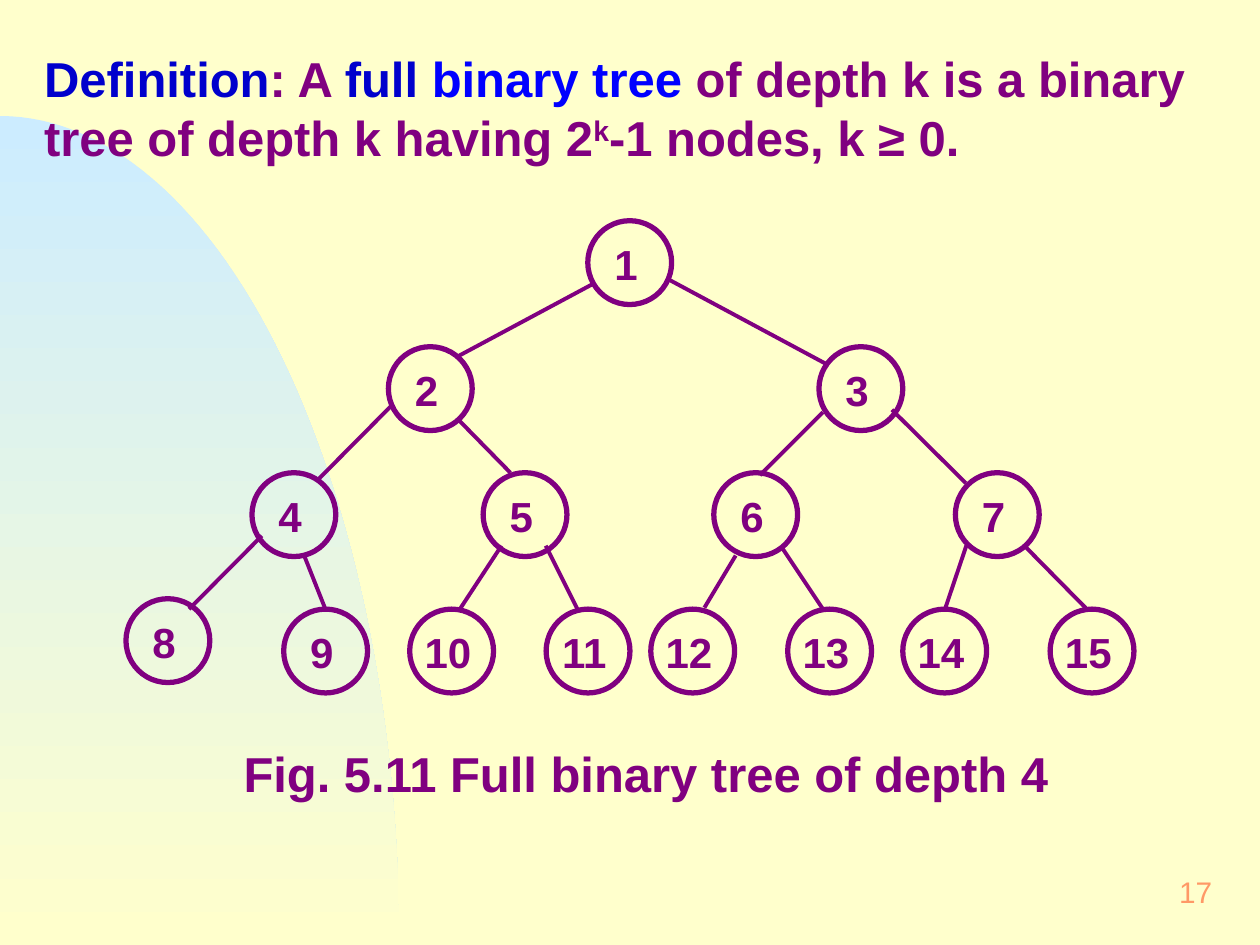
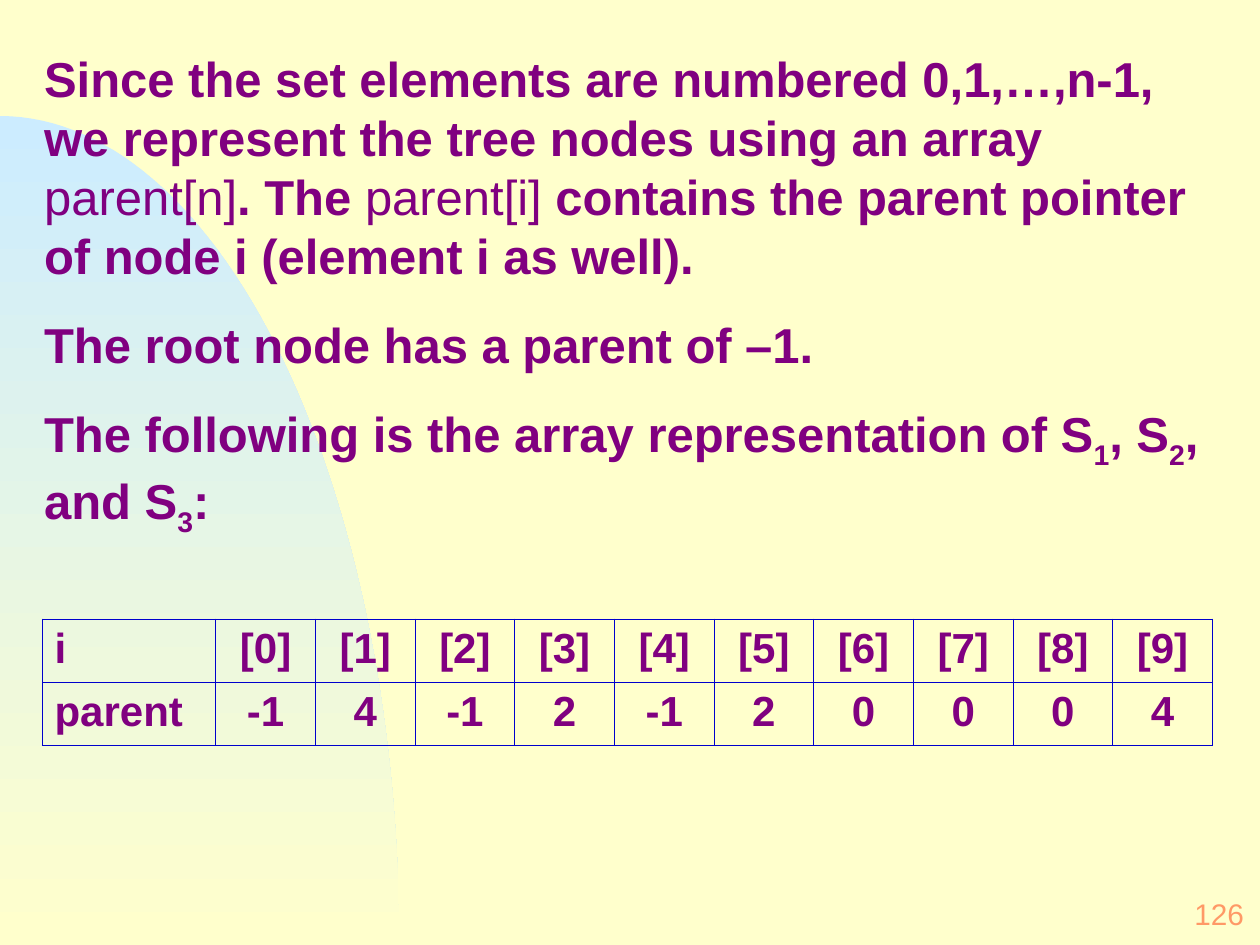
import math

import pptx
import pptx.dml.color
import pptx.enum.shapes
import pptx.enum.text
import pptx.oxml
import pptx.oxml.ns
import pptx.util
from pptx.util import Cm, Pt

FONT = "Arial"
CREAM = "FFFFCC"
SKY = "CCECFF"
PURPLE = "800080"
NAVY = "0000CC"
BLUE = "0000FF"
ORANGE = "FF9966"

NODE_SIZE = 1.69
ROW_TOPS = [4.45, 6.99, 9.53, 12.28]
NODE_LEFTS = [
    [11.85],
    [7.83, 16.51],
    [5.08, 9.74, 14.39, 19.26],
    [2.54, 5.72, 8.26, 11.01, 13.12, 15.88, 18.2, 21.17],
]
RAISED_NODES = {8: 0.21}

# Branch ends (x1, y1, x2, y2), listed by child node from 2 to 15.
BRANCHES = [
    (11.96, 5.72, 9.2, 7.2),
    (13.49, 5.64, 16.66, 7.34),
    (7.87, 8.2, 6.4, 9.68),
    (9.25, 8.47, 10.29, 9.53),
    (16.59, 8.31, 15.32, 9.58),
    (17.98, 8.26, 19.47, 9.74),
    (5.28, 10.8, 3.81, 12.28),
    (6.14, 11.22, 6.56, 12.28),
    (10.11, 11, 9.27, 12.28),
    (11, 11, 11.64, 12.28),
    (14.83, 11.2, 14.2, 12.25),
    (15.75, 11.02, 16.59, 12.28),
    (19.48, 11, 19.05, 12.28),
    (20.65, 11, 21.91, 12.28),
]

DEFINITION = [[
    ("Definition", {"color": NAVY}),
    (": A ", {}),
    ("full ", {"color": NAVY}),
    ("binary tree ", {"color": BLUE}),
    ("of depth k is a binary tree of depth k having 2", {}),
    ("k", {"baseline": 30}),
    ("-1 nodes, k ≥ 0.", {}),
]]
CAPTION = [[("Fig. 5.11 Full binary tree of depth 4", {})]]
ARRAY_NOTES = [
    [
        ("Since the set elements are numbered 0,1,…,n-1, we represent "
         "the tree nodes using an array ", {}),
        ("parent[n]", {"bold": False}),
        (". The ", {}),
        ("parent[i]", {"bold": False}),
        (" contains the parent pointer of node i (element i as well).", {}),
    ],
    [("The root node has a parent of –1.", {})],
    [
        ("The following is the array representation of S", {}),
        ("1", {"baseline": -25}),
        (", S", {}),
        ("2", {"baseline": -25}),
        (", and S", {}),
        ("3", {"baseline": -25}),
        (":", {}),
    ],
]
PARENTS = [-1, 4, -1, 2, -1, 2, 0, 0, 0, 4]


def rgb(code):
    return pptx.dml.color.RGBColor.from_string(code)


def style_span(span, size, color=PURPLE, bold=True, baseline=0):
    """Format a run; baseline is a percentage, positive for superscript."""
    span.font.name = FONT
    span.font.size = Pt(size)
    span.font.bold = bold
    span.font.color.rgb = rgb(color)
    if baseline:
        span.font._element.set("baseline", str(baseline * 1000))


def set_insets(frame, left, top, right, bottom):
    frame.margin_left, frame.margin_top = Cm(left), Cm(top)
    frame.margin_right, frame.margin_bottom = Cm(right), Cm(bottom)


def add_page(deck):
    """Add a blank page with the cream ground and the fading quarter ellipse."""
    page = deck.slides.add_slide(deck.slide_layouts[6])
    page.background.fill.solid()
    page.background.fill.fore_color.rgb = rgb(CREAM)

    width, height, bottom, steps = 8.05, 16.71, 19.05, 60
    angles = [math.pi / 2 * step / steps for step in range(steps + 1)]
    arc = [(Cm(width * math.sin(a)), Cm(bottom - height * math.cos(a)))
           for a in angles]
    builder = page.shapes.build_freeform(*arc[0])
    builder.add_line_segments(arc[1:] + [(0, Cm(bottom))], close=True)
    dome = builder.convert_to_shape()
    dome.shadow.inherit = False
    dome.line.fill.background()
    dome.fill.gradient()
    dome.fill.gradient_angle = 270
    for stop, color, position in zip(dome.fill.gradient_stops, (SKY, CREAM), (0, 1)):
        stop.color.rgb = rgb(color)
        stop.position = position
    return page


def add_text(page, left, top, width, height, paragraphs):
    """Add 28 pt text; each paragraph is a list of (text, style) pairs."""
    box = page.shapes.add_textbox(Cm(left), Cm(top), Cm(width), Cm(height))
    frame = box.text_frame
    frame.word_wrap = True
    set_insets(frame, 0.25, 0.13, 0.25, 0.13)
    for index, pieces in enumerate(paragraphs):
        para = frame.add_paragraph() if index else frame.paragraphs[0]
        if index:
            para.space_before = Pt(17.5)
        for text, style in pieces:
            span = para.add_run()
            span.text = text
            style_span(span, 28, **style)


def add_page_number(page, left, top, number):
    box = page.shapes.add_textbox(Cm(left), Cm(top), Cm(5.27), Cm(1.26))
    frame = box.text_frame
    frame.word_wrap = True
    frame.vertical_anchor = pptx.enum.text.MSO_ANCHOR.MIDDLE
    set_insets(frame, 0.32, 0.16, 0.31, 0.16)
    frame.text = str(number)
    para = frame.paragraphs[0]
    para.alignment = pptx.enum.text.PP_ALIGN.RIGHT
    style_span(para.runs[0], 17, color=ORANGE, bold=False)


def add_node(page, left, top, number):
    node = page.shapes.add_shape(
        pptx.enum.shapes.MSO_SHAPE.OVAL,
        Cm(left), Cm(top), Cm(NODE_SIZE), Cm(NODE_SIZE))
    node.shadow.inherit = False
    node.fill.background()
    node.line.color.rgb = rgb(PURPLE)
    node.line.width = Pt(3)
    frame = node.text_frame
    frame.word_wrap = False
    frame.vertical_anchor = pptx.enum.text.MSO_ANCHOR.MIDDLE
    set_insets(frame, 0, 0.04, 0.15, 0)
    frame.text = str(number)
    para = frame.paragraphs[0]
    para.alignment = pptx.enum.text.PP_ALIGN.CENTER
    style_span(para.runs[0], 24)


def add_branch(page, x1, y1, x2, y2):
    branch = page.shapes.add_connector(
        pptx.enum.shapes.MSO_CONNECTOR.STRAIGHT, Cm(x1), Cm(y1), Cm(x2), Cm(y2))
    branch.line.color.rgb = rgb(PURPLE)
    branch.line.width = Pt(2.25)
    branch.element.spPr.append(pptx.oxml.parse_xml(
        f"<a:effectLst {pptx.oxml.ns.nsdecls('a')}/>"))


def add_tree(page):
    number = 1
    for top, lefts in zip(ROW_TOPS, NODE_LEFTS):
        for left in lefts:
            add_node(page, left, top - RAISED_NODES.get(number, 0), number)
            number += 1
    for ends in BRANCHES:
        add_branch(page, *ends)


def set_borders(cell):
    properties = cell._tc.get_or_add_tcPr()
    for index, side in enumerate(("lnL", "lnR", "lnT", "lnB")):
        properties.insert(index, pptx.oxml.parse_xml(
            f"<a:{side} {pptx.oxml.ns.nsdecls('a')} w='{Pt(0.45)}'>"
            f"<a:solidFill><a:srgbClr val='{NAVY}'/></a:solidFill></a:{side}>"))


def add_parent_table(page):
    rows = [["i"] + [f"[{index}]" for index in range(len(PARENTS))],
            ["parent"] + PARENTS]
    widths = [3.5] + [2.01] * len(PARENTS)
    table = page.shapes.add_table(
        len(rows), len(widths), Cm(0.85), Cm(12.48), Cm(sum(widths)), Cm(2.54)).table
    table.first_row = False
    table.horz_banding = False
    for column, width in zip(table.columns, widths):
        column.width = Cm(width)
    for row_index, values in enumerate(rows):
        for column_index, value in enumerate(values):
            cell = table.cell(row_index, column_index)
            cell.fill.background()
            set_borders(cell)
            set_insets(cell, 0.25, 0.13, 0.25, 0.13)
            cell.text_frame.text = str(value)
            para = cell.text_frame.paragraphs[0]
            if column_index:
                para.alignment = pptx.enum.text.PP_ALIGN.CENTER
            style_span(para.runs[0], 24)


def main():
    deck = pptx.Presentation()
    deck.slide_width, deck.slide_height = Cm(25.4), Cm(19.05)

    tree_page = add_page(deck)
    add_page_number(tree_page, 19.48, 17.35, 17)
    add_text(tree_page, 0.64, 0.85, 23.93, 2.64, DEFINITION)
    add_tree(tree_page)
    add_text(tree_page, 4.66, 14.86, 17.15, 1.45, CAPTION)

    array_page = add_page(deck)
    add_page_number(array_page, 20.12, 17.78, 126)
    add_text(array_page, 0.64, 0.85, 24.33, 10.13, ARRAY_NOTES)
    add_parent_table(array_page)

    deck.save("out.pptx")


if __name__ == "__main__":
    main()
